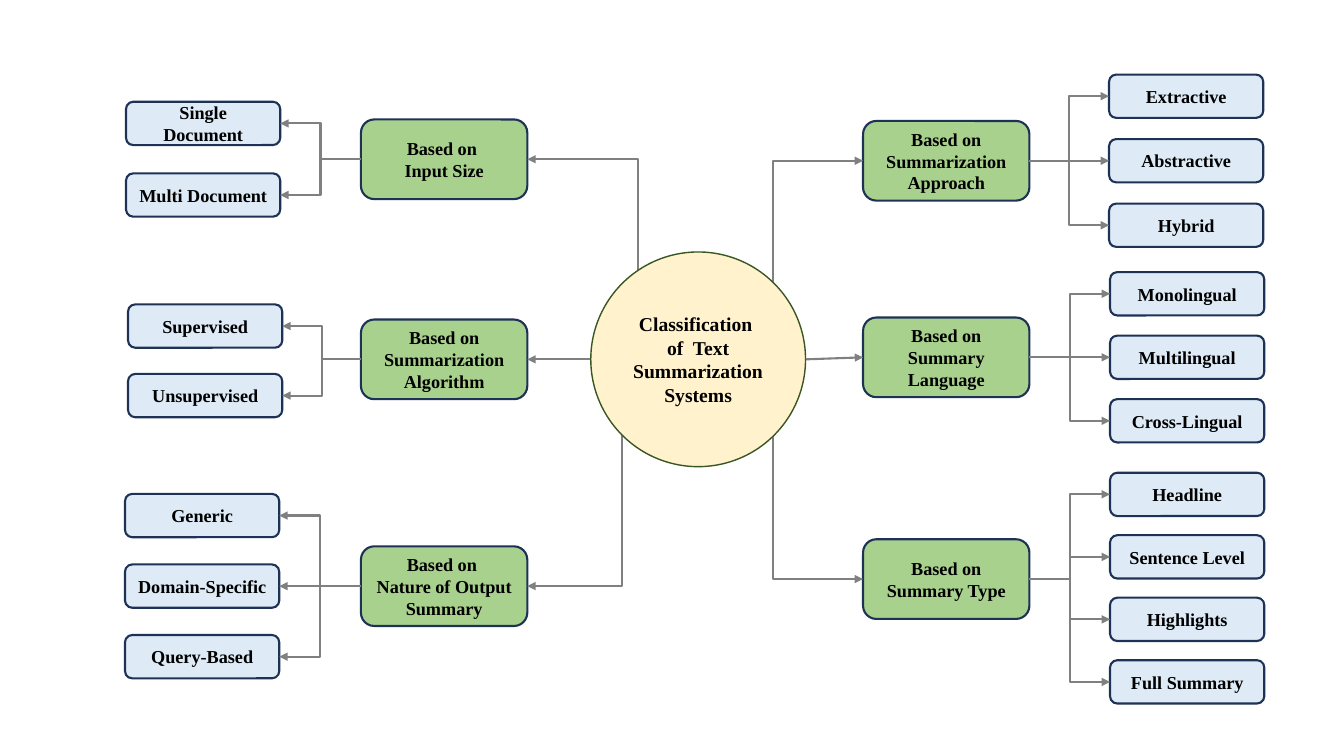
import pptx
import pptx.util
import pptx.dml.color
import pptx.enum.shapes
import pptx.enum.text
import pptx.oxml.ns
from dataclasses import dataclass
from lxml import etree

SHAPE = pptx.enum.shapes.MSO_SHAPE
WIRE = pptx.enum.shapes.MSO_CONNECTOR


@dataclass(frozen=True)
class Theme:
    font: str = "Times New Roman"
    text: str = "000000"
    topic: str = "A9D18E"
    leaf: str = "DEEBF7"
    border: str = "1E3256"
    hub: str = "FFF2CC"
    hub_border: str = "385723"
    wire: str = "808080"
    size: float = 13
    hub_size: float = 14
    stroke: float = 1.5
    hub_stroke: float = 1


THEME = Theme()
SLIDE_W, SLIDE_H = 13.33, 7.5
# The grid has square cells of a tenth of an inch.
CELL = 0.1
TOPIC_W, TOPIC_H = 16.5, 7.9
LEAF_W, LEAF_H = 15.3, 4.3
HUB = (58.6, 25, 21.3, 21.3)

# Box on the grid, topic lines, leaves, topic shift from the middle,
# column and row where the wire meets the hub (no column: straight wire)
LEFT = [
    ((12.5, 10.1, 39.8, 11.4), ["Based on ", "Input Size"],
     ["Single Document", "Multi Document"], 0, (63.3, 29)),
    ((12.7, 30.2, 39.6, 11.2), ["Based on Summarization Algorithm"],
     ["Supervised", "Unsupervised"], -0.15, (None, 35.65)),
    ((12.4, 49, 39.9, 18.3), ["Based on ", "Nature of Output Summary"],
     ["Generic", "Domain-Specific", "Query-Based"], 0, (61.7, 43.2)),
]
RIGHT = [
    ((85.6, 7.4, 39.7, 17.1), ["Based on Summarization Approach"],
     ["Extractive", "Abstractive", "Hybrid"], 0, (76.7, 28.2)),
    ((85.6, 27, 39.8, 16.9), ["Based on Summary Language"],
     ["Monolingual", "Multilingual", "Cross-Lingual"], 0, (None, 35.65)),
    ((85.6, 46.9, 39.8, 22.9), ["Based on Summary Type"],
     ["Headline", "Sentence Level", "Highlights", "Full Summary"], -0.9, (76.7, 43.2)),
]


def cells(n):
    return pptx.util.Inches(n * CELL)


def rgb(value):
    return pptx.dml.color.RGBColor.from_string(value)


def add_node(s, kind, box, lines, fill, border, stroke, size):
    sp = s.shapes.add_shape(kind, *map(cells, box))
    sp.shadow.inherit = False
    sp.fill.solid()
    sp.fill.fore_color.rgb = rgb(fill)
    sp.line.color.rgb = rgb(border)
    sp.line.width = pptx.util.Pt(stroke)
    tf = sp.text_frame
    tf.word_wrap = True
    tf.vertical_anchor = pptx.enum.text.MSO_ANCHOR.MIDDLE
    for i, line in enumerate(lines):
        p = tf.paragraphs[0] if i == 0 else tf.add_paragraph()
        p.alignment = pptx.enum.text.PP_ALIGN.CENTER
        r = p.add_run()
        r.text = line
        r.font.name = THEME.font
        r.font.size = pptx.util.Pt(size)
        r.font.bold = True
        r.font.color.rgb = rgb(THEME.text)
    return sp


def add_wire(s, kind, start, end, arrow="tailEnd"):
    c = s.shapes.add_connector(kind, *map(cells, start + end))
    c.line.color.rgb = rgb(THEME.wire)
    c.line.width = pptx.util.Pt(THEME.stroke)
    qn = pptx.oxml.ns.qn
    etree.SubElement(c.line._get_or_add_ln(), qn("a:" + arrow), type="triangle")
    etree.SubElement(c._element.spPr, qn("a:effectLst"))
    return c


def add_corner_wire(s, topic_end, hub_end):
    """Draw one bend, level at the topic, with the arrowhead there."""
    c = add_wire(s, WIRE.ELBOW, topic_end, hub_end, "headEnd")
    c._element.spPr.find(pptx.oxml.ns.qn("a:prstGeom")).set("prst", "bentConnector2")


def add_branch(s, box, lines, leaves, shift, hub_point, leaves_left):
    """Place a topic, its leaves and its wires inside a box."""
    x, y, w, h = box
    mid = y + h / 2 + shift
    far = x + w
    if leaves_left:
        topic_x, leaf_x = far - TOPIC_W, x
        inner, outer, leaf_edge, hub_edge = far, topic_x, x + LEAF_W, HUB[0]
    else:
        topic_x, leaf_x = x, far - LEAF_W
        inner, outer, leaf_edge, hub_edge = x, x + TOPIC_W, leaf_x, HUB[0] + HUB[2]

    add_node(s, SHAPE.ROUNDED_RECTANGLE, (topic_x, mid - TOPIC_H / 2, TOPIC_W, TOPIC_H),
             lines, THEME.topic, THEME.border, THEME.stroke, THEME.size)
    step = (h - LEAF_H) / (len(leaves) - 1)
    for i, leaf in enumerate(leaves):
        top = y + i * step
        add_node(s, SHAPE.ROUNDED_RECTANGLE, (leaf_x, top, LEAF_W, LEAF_H),
                 [leaf], THEME.leaf, THEME.border, THEME.stroke, THEME.size)
        leaf_mid = top + LEAF_H / 2
        level = abs(leaf_mid - mid) < 0.1
        add_wire(s, WIRE.STRAIGHT if level else WIRE.ELBOW,
                 (outer, mid), (leaf_edge, leaf_mid))

    column, row = hub_point
    if column is None:
        add_wire(s, WIRE.STRAIGHT, (hub_edge, row), (inner, mid))
    else:
        add_corner_wire(s, (inner, mid), (column, row))


def add_hub(s, box):
    add_node(s, SHAPE.OVAL, box,
             ["Classification ", "of  Text Summarization", "Systems"],
             THEME.hub, THEME.hub_border, THEME.hub_stroke, THEME.hub_size)


def main():
    prs = pptx.Presentation()
    prs.slide_width = pptx.util.Inches(SLIDE_W)
    prs.slide_height = pptx.util.Inches(SLIDE_H)
    s = prs.slides.add_slide(prs.slide_layouts[6])
    for branches, leaves_left in ((LEFT, True), (RIGHT, False)):
        for branch in branches:
            add_branch(s, *branch, leaves_left)
    add_hub(s, HUB)
    prs.save("out.pptx")


if __name__ == "__main__":
    main()
